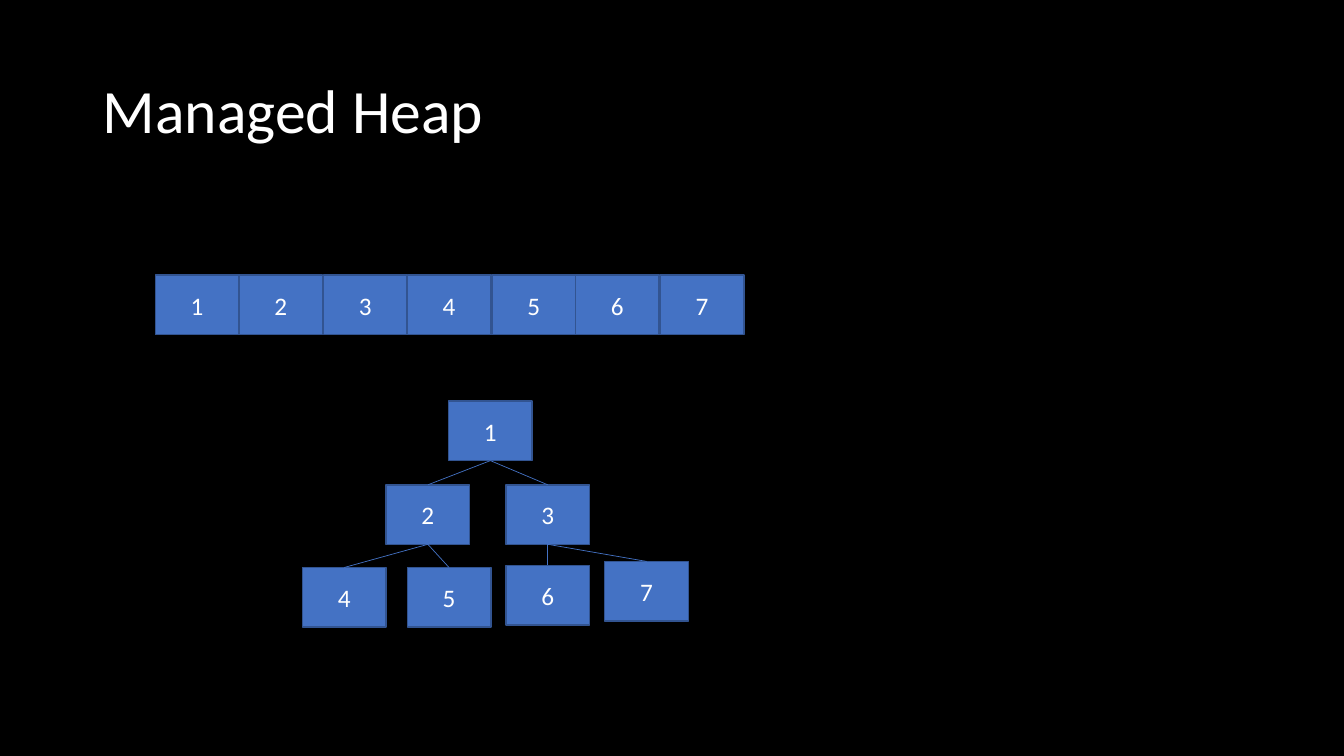
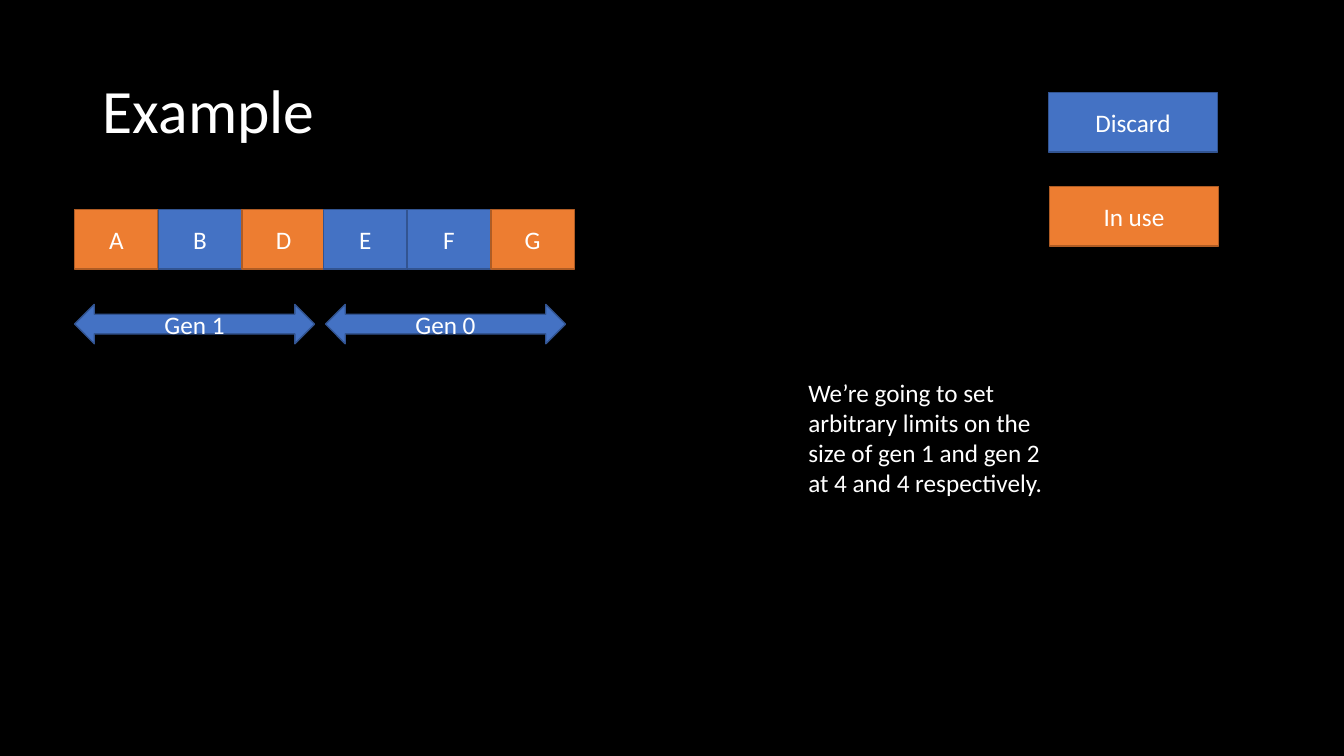
from lxml import etree
from pptx import Presentation
from pptx.dml.color import RGBColor
from pptx.enum.shapes import MSO_CONNECTOR as CONN, MSO_SHAPE as SHAPE
from pptx.enum.text import MSO_ANCHOR as ANCHOR, MSO_AUTO_SIZE as AUTO, PP_ALIGN as ALIGN
from pptx.oxml.ns import qn
from pptx.util import Pt

PX = 9144  # EMU per px, 100 px to the inch
BLACK = RGBColor(0x00, 0x00, 0x00)
WHITE = RGBColor(0xFF, 0xFF, 0xFF)
BLUE = RGBColor(0x44, 0x72, 0xC4)
BLUE_EDGE = RGBColor(0x32, 0x54, 0x91)
ORANGE = RGBColor(0xED, 0x7D, 0x31)
ORANGE_EDGE = RGBColor(0xAF, 0x5C, 0x24)
EDGES = {BLUE: BLUE_EDGE, ORANGE: ORANGE_EDGE}
CELL_W, CELL_H = 83, 59


def write(sp, text, size=18, align=ALIGN.CENTER, anchor=ANCHOR.MIDDLE, spacing=None):
    tf = sp.text_frame
    tf.word_wrap = True
    tf.vertical_anchor = anchor
    p = tf.paragraphs[0]
    p.alignment = align
    p.line_spacing = spacing
    r = p.add_run()
    r.text = text
    r.font.name = "Calibri"
    r.font.size = Pt(size)
    r.font.color.rgb = WHITE


def add_box(s, text, x, y, w=CELL_W, h=CELL_H, fill=BLUE, kind=SHAPE.RECTANGLE):
    sp = s.shapes.add_shape(kind, x * PX, y * PX, w * PX, h * PX)
    sp.shadow.inherit = False
    sp.fill.solid()
    sp.fill.fore_color.rgb = fill
    sp.line.color.rgb = EDGES[fill]
    sp.line.width = Pt(1)
    write(sp, text)
    return sp


prs = Presentation()
prs.slide_width, prs.slide_height = 12192000, 750 * PX

# Shared background and titles
bg = prs.slide_master.background.fill
bg.solid()
bg.fore_color.rgb = BLACK
slides = []
for heading in ("Managed Heap", "Example"):
    s = prs.slides.add_slide(prs.slide_layouts[5])
    title = s.shapes.title
    title.left, title.top = 92 * PX, 40 * PX
    title.width, title.height = 1150 * PX, 145 * PX
    write(title, heading, size=44, align=ALIGN.LEFT, spacing=0.9)
    slides.append(s)
heap, example = slides

# Heap as a tree: the parent of node n is n // 2
places = [(445, 398), (383, 481), (502, 481), (300, 563), (404, 563), (502, 561), (600, 557)]
nodes = {n: add_box(heap, str(n), x, y) for n, (x, y) in enumerate(places, 1)}
for n in range(2, len(nodes) + 1):
    link = heap.shapes.add_connector(CONN.STRAIGHT, 0, 0, 0, 0)
    link.begin_connect(nodes[n // 2], 2)
    link.end_connect(nodes[n], 0)
    link.line.color.rgb = BLUE
    link.line.width = Pt(0.5)
    etree.SubElement(link.element.spPr, qn("a:effectLst"))

# Heap as an array
for i in range(len(nodes)):
    add_box(heap, str(i + 1), 154 + i * 167 // 2, 273)

# Objects of each generation, with the span below
for name, cells_x, span_x, letters in (("Gen 1", 74, 74, "ABD"), ("Gen 0", 321, 323, "EFG")):
    for i, letter in enumerate(letters):
        add_box(example, letter, cells_x + i * CELL_W, 208,
                fill=ORANGE if letter in "ADG" else BLUE)
    add_box(example, name, span_x, 302, w=238, h=39, kind=SHAPE.LEFT_RIGHT_ARROW)

# Legend
add_box(example, "Discard", 1040, 92, w=168)
add_box(example, "In use", 1041, 185, w=168, fill=ORANGE)

# Remark
note = example.shapes.add_textbox(792 * PX, 369 * PX, 275 * PX, 131 * PX)
write(note, "We’re going to set arbitrary limits on the size of gen 1 and gen 2 at 4 and 4 respectively.",
      align=ALIGN.LEFT, anchor=ANCHOR.TOP)
note.text_frame.auto_size = AUTO.SHAPE_TO_FIT_TEXT

prs.save("out.pptx")
